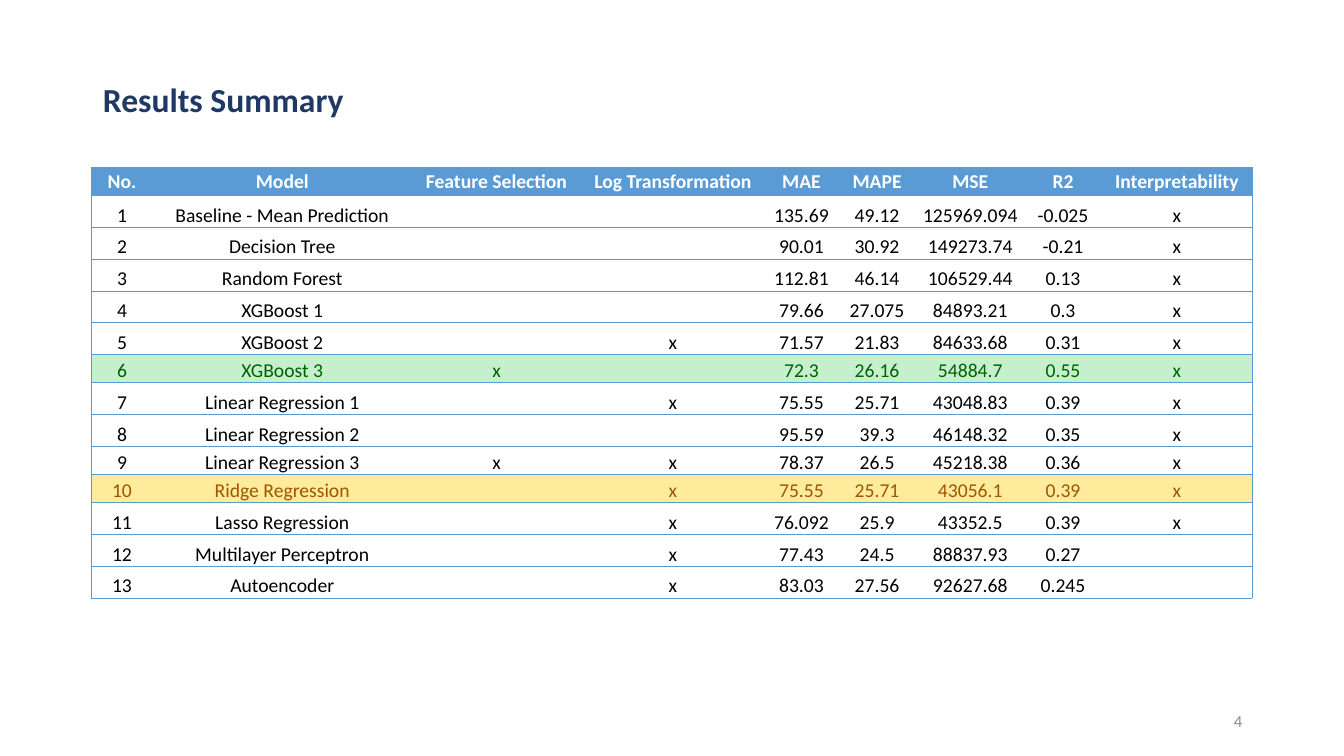
from lxml.etree import SubElement as Sub
from pptx import Presentation
from pptx.dml.color import RGBColor
from pptx.enum.text import MSO_ANCHOR as Anchor, PP_ALIGN as Align
from pptx.oxml.ns import qn
from pptx.util import Inches, Pt

BLUE = "5B9BD5"
WIDTHS = [0.6, 2.58, 1.67, 1.83, 0.72, 0.78, 1.07, 0.77, 1.49]
HEAD = ["No.", "Model", "Feature Selection", "Log Transformation",
        "MAE", "MAPE", "MSE", "R2", "Interpretability"]
MODELS = [
    ["Baseline - Mean Prediction", "", "", "135.69", "49.12", "125969.094", "-0.025", "x"],
    ["Decision Tree", "", "", "90.01", "30.92", "149273.74", "-0.21", "x"],
    ["Random Forest", "", "", "112.81", "46.14", "106529.44", "0.13", "x"],
    ["XGBoost 1", "", "", "79.66", "27.075", "84893.21", "0.3", "x"],
    ["XGBoost 2", "", "x", "71.57", "21.83", "84633.68", "0.31", "x"],
    ["XGBoost 3", "x", "", "72.3", "26.16", "54884.7", "0.55", "x"],
    ["Linear Regression 1", "", "x", "75.55", "25.71", "43048.83", "0.39", "x"],
    ["Linear Regression 2", "", "", "95.59", "39.3", "46148.32", "0.35", "x"],
    ["Linear Regression 3", "x", "x", "78.37", "26.5", "45218.38", "0.36", "x"],
    ["Ridge Regression", "", "x", "75.55", "25.71", "43056.1", "0.39", "x"],
    ["Lasso Regression", "", "x", "76.092", "25.9", "43352.5", "0.39", "x"],
    ["Multilayer Perceptron", "", "x", "77.43", "24.5", "88837.93", "0.27", ""],
    ["Autoencoder", "", "x", "83.03", "27.56", "92627.68", "0.245", ""],
]
TINTS = {0: (BLUE, "FFFFFF"), 6: ("C6EFCE", "006100"), 10: ("FFEB9C", "9C5700")}


def color(code):
    """Turn a hex string into a colour."""
    return RGBColor.from_string(code)


def write(frame, text, size, ink, align, bold=False):
    """Put one formatted line of text in a frame."""
    frame.text = text
    line = frame.paragraphs[0]
    line.alignment = align
    for run in line.runs:
        run.font.name = "Calibri"
        run.font.size = Pt(size)
        run.font.bold = bold
        run.font.color.rgb = color(ink)


def border(cell, sides):
    """Draw the given sides of a cell and clear the others."""
    props = cell._tc.get_or_add_tcPr()
    for side in "LRTB":
        line = Sub(props, qn("a:ln" + side), w=str(Pt(0.5)))
        if side in sides:
            fill = Sub(line, qn("a:solidFill"))
            Sub(fill, qn("a:srgbClr"), val=BLUE)
        else:
            Sub(line, qn("a:noFill"))


def style(cell, text, row, sides):
    """Fill, border and label one table cell."""
    tint, ink = TINTS.get(row, (None, "000000"))
    cell.margin_left = cell.margin_right = cell.margin_top = Inches(0.01)
    cell.margin_bottom = 0
    cell.vertical_anchor = Anchor.BOTTOM if row else Anchor.MIDDLE
    border(cell, sides)
    if tint:
        cell.fill.solid()
        cell.fill.fore_color.rgb = color(tint)
    else:
        cell.fill.background()
    write(cell.text_frame, text, 14, ink, Align.CENTER, row == 0)
    if not text:
        size = 14 if tint else 18
        Sub(cell.text_frame.paragraphs[0]._p, qn("a:endParaRPr"), sz=str(size * 100))


def add_grid(slide):
    """Add the table of model results."""
    rows = [HEAD] + [[str(n)] + model for n, model in enumerate(MODELS, 1)]
    frame = slide.shapes.add_table(len(rows), len(HEAD), Inches(0.91), Inches(1.66),
                                   Inches(11.5), Inches(4.58))
    table = frame.table
    table.horz_banding = False
    for col, width in zip(table.columns, WIDTHS):
        col.width = Inches(width)
    last = len(HEAD) - 1
    for r, row in enumerate(rows):
        table.rows[r].height = Inches(0.28)
        for c, text in enumerate(row):
            sides = "TB" + ("L" if c == 0 else "R" if c == last else "")
            style(table.cell(r, c), text, r, sides)


def add_title(slide, text):
    """Place and format the slide title."""
    title = slide.shapes.title
    title.left, title.top = Inches(0.92), Inches(0.61)
    title.width, title.height = Inches(11.5), Inches(0.79)
    frame = title.text_frame
    frame.vertical_anchor = Anchor.MIDDLE
    write(frame, text, 24, "203864", Align.LEFT, True)
    frame.paragraphs[0].line_spacing = 0.9


def add_number(slide, text):
    """Add the page number at the lower right."""
    box = slide.shapes.add_textbox(Inches(9.42), Inches(6.95), Inches(3), Inches(0.4))
    frame = box.text_frame
    frame.word_wrap = True
    frame.vertical_anchor = Anchor.MIDDLE
    write(frame, text, 12, "8C8C8C", Align.RIGHT)


def main():
    """Build and save the slide."""
    deck = Presentation()
    deck.slide_width, deck.slide_height = Inches(13.33), Inches(7.5)
    slide = deck.slides.add_slide(deck.slide_layouts[5])
    add_title(slide, "Results Summary")
    add_grid(slide)
    add_number(slide, "4")
    deck.save("out.pptx")


if __name__ == "__main__":
    main()
